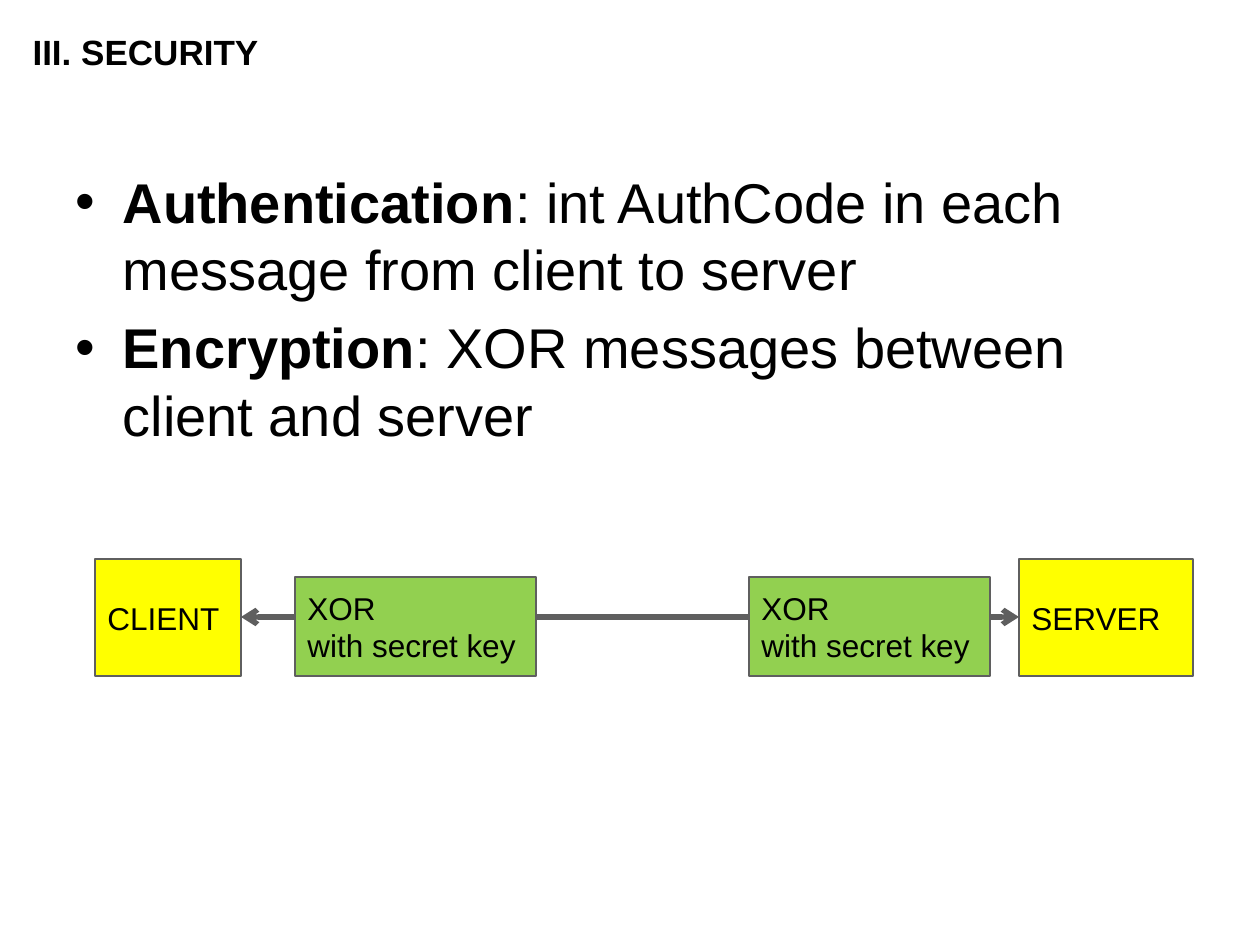
import pptx
import pptx.util
import pptx.dml.color
import pptx.enum.shapes
import pptx.enum.text
import pptx.oxml
import pptx.oxml.ns

TITLE = "III. SECURITY"
BULLETS = [
    ("Authentication", ": int AuthCode in each message from client to server"),
    ("Encryption", ": XOR messages between client and server"),
]
XOR_LINES = ["XOR", "with secret key"]
YELLOW, GREEN, GRAY, BLACK = "FFFF00", "92D050", "5F5F5F", "000000"
FONT = "Arial"
BOTTOM = 676
LINE_Y = 617
ENDPOINTS = [
    (["CLIENT"], 95, 146, 117, YELLOW),
    (["SERVER"], 1019, 174, 117, YELLOW),
]
XOR_BOXES = [(XOR_LINES, left, 241, 99, GREEN) for left in (295, 749)]


def px(value):
    return pptx.util.Emu(round(value * 914400 / 126))


def color(value):
    return pptx.dml.color.RGBColor.from_string(value)


def place(shape, left, top, width, height):
    shape.left, shape.top = px(left), px(top)
    shape.width, shape.height = px(width), px(height)


def format_paragraph(paragraph, size, bold=None):
    paragraph.alignment = pptx.enum.text.PP_ALIGN.LEFT
    paragraph.font.name = FONT
    paragraph.font.size = pptx.util.Pt(size)
    paragraph.font.bold = bold
    paragraph.font.color.rgb = color(BLACK)


def add_element(parent, tag, **attributes):
    element = pptx.oxml.parse_xml(f"<a:{tag} {pptx.oxml.ns.nsdecls('a')}/>")
    for name, value in attributes.items():
        element.set(name, value)
    parent.append(element)


def add_box(slide, lines, left, width, height, fill):
    shape = slide.shapes.add_shape(
        pptx.enum.shapes.MSO_SHAPE.RECTANGLE,
        px(left), px(BOTTOM - height), px(width), px(height))
    shape.shadow.inherit = False
    shape.fill.solid()
    shape.fill.fore_color.rgb = color(fill)
    shape.line.color.rgb = color(GRAY)
    shape.line.width = pptx.util.Pt(0.75)
    frame = shape.text_frame
    frame.word_wrap = False
    frame.vertical_anchor = pptx.enum.text.MSO_ANCHOR.MIDDLE
    frame.text = "\n".join(lines)
    for paragraph in frame.paragraphs:
        format_paragraph(paragraph, 18)


def add_link(slide, start, end):
    connector = slide.shapes.add_connector(
        pptx.enum.shapes.MSO_CONNECTOR.STRAIGHT,
        px(start), px(LINE_Y), px(end), px(LINE_Y))
    connector.line.color.rgb = color(GRAY)
    connector.line.width = pptx.util.Pt(3)
    line = connector.line._get_or_add_ln()
    for tag in ("headEnd", "tailEnd"):
        add_element(line, tag, type="arrow")
    add_element(connector._element.spPr, "effectLst")


def fill_title(title):
    place(title, 20, 11, 1134, 81)
    title.text_frame.text = TITLE
    title.text_frame.vertical_anchor = pptx.enum.text.MSO_ANCHOR.MIDDLE
    format_paragraph(title.text_frame.paragraphs[0], 20, True)


def fill_body(body):
    place(body, 63, 161, 1134, 683)
    frame = body.text_frame
    for index, (term, explanation) in enumerate(BULLETS):
        paragraph = frame.add_paragraph() if index else frame.paragraphs[0]
        paragraph.space_before = pptx.util.Pt(6.4 if index else 0)
        properties = paragraph._p.get_or_add_pPr()
        properties.set("marL", str(px(47)))
        properties.set("indent", str(-px(47)))
        add_element(properties, "buFont", typeface=FONT)
        add_element(properties, "buChar", char="•")
        format_paragraph(paragraph, 32)
        for text, bold in ((term, True), (explanation, False)):
            run = paragraph.add_run()
            run.text = text
            run.font.bold = bold


def main():
    presentation = pptx.Presentation()
    presentation.slide_width, presentation.slide_height = px(1260), px(945)
    slide = presentation.slides.add_slide(presentation.slide_layouts[1])
    fill_title(slide.shapes.title)
    fill_body(slide.placeholders[1])
    for box in ENDPOINTS:
        add_box(slide, *box)
    (_, client_left, client_width, *_), (_, server_left, *_) = ENDPOINTS
    add_link(slide, client_left + client_width, server_left)
    for box in XOR_BOXES:
        add_box(slide, *box)
    presentation.save("out.pptx")


if __name__ == "__main__":
    main()
